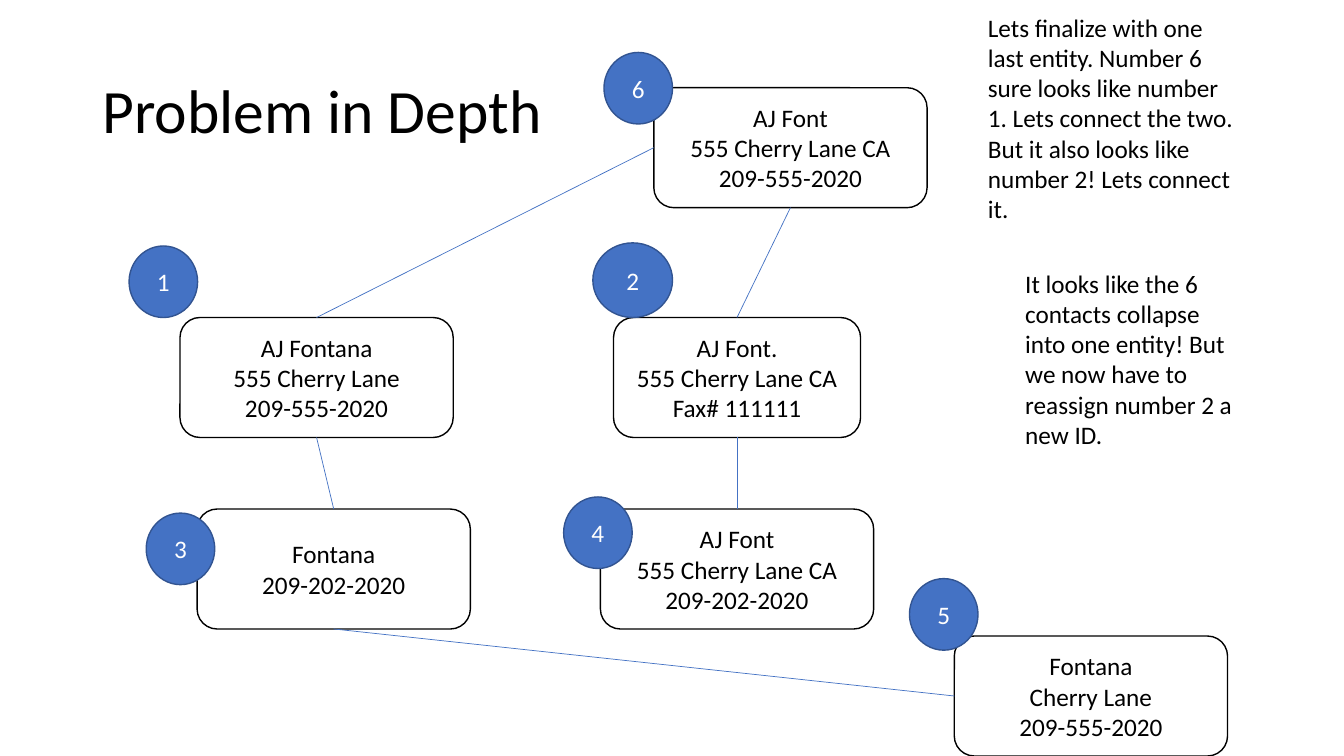
from lxml import etree
from pptx import Presentation
from pptx import util as u
from pptx.dml.color import RGBColor
from pptx.enum import shapes, text
from pptx.oxml.ns import qn

TITLE = "Problem in Depth"
# number: (column, row, lines of the contact)
CONTACTS = {
    1: ("left", "middle", ["AJ Fontana", "555 Cherry Lane", "209-555-2020"]),
    2: ("centre", "middle", ["AJ Font.", "555 Cherry Lane CA", "Fax# 111111"]),
    3: ("left indented", "lower", ["Fontana", "209-202-2020"]),
    4: ("centre", "lower", ["AJ Font", "555 Cherry Lane CA", "209-202-2020"]),
    5: ("right", "bottom", ["Fontana", "Cherry Lane", "209-555-2020"]),
    6: ("centre right", "top", ["AJ Font", "555 Cherry Lane CA", "209-555-2020"]),
}
TOP, LEFT, BOTTOM = 0, 1, 2
# (from contact, side, to contact, side)
LINKS = [(3, BOTTOM, 5, LEFT), (1, BOTTOM, 3, TOP), (2, BOTTOM, 4, TOP),
         (6, LEFT, 1, TOP), (6, BOTTOM, 2, TOP)]
# (text, left, top, width, height)
NOTES = [
    ("Lets finalize with one last entity. Number 6 sure looks like number 1. "
     "Lets connect the two. But it also looks like number 2! Lets connect it.",
     9.7, 0.07, 2.63, 2.22),
    ("It looks like the 6 contacts collapse into one entity! But we now have to "
     "reassign number 2 a new ID.", 10.07, 2.61, 2.35, 1.92),
]

# Layout in inches: column centres, row tops, shared sizes
COLUMNS = {"left": 3.14, "left indented": 3.31, "centre": 7.31,
           "centre right": 7.84, "right": 10.82}
ROWS = {"top": 0.87, "middle": 3.15, "lower": 5.05, "bottom": 6.31}
CARD_WIDTH, CARD_HEIGHT = 2.71, 1.19
NARROW_CARDS = {2: 2.45}
BADGE_SIZE = (0.68, 0.71)
WIDE_BADGES = {2: (0.79, 0.74)}
BADGES = {1: (1.28, 2.44), 2: (5.88, 2.41), 3: (1.45, 5.09),
          4: (5.59, 4.93), 5: (9.02, 5.74), 6: (5.99, 0.52)}
COLOURS = {"ink": "000000", "paper": "FFFFFF", "blue": "4472C4", "edge": "325491"}
FONT = "Calibri"


def colour(name):
    return RGBColor.from_string(COLOURS[name])


def write(shape, lines, ink="ink", size=18, align=text.PP_ALIGN.CENTER,
          anchor=text.MSO_ANCHOR.MIDDLE, spacing=None):
    frame = shape.text_frame
    frame.word_wrap = True
    frame.vertical_anchor = anchor
    frame.text = "\n".join(lines)
    for paragraph in frame.paragraphs:
        paragraph.alignment = align
        paragraph.line_spacing = spacing
        paragraph.font.name = FONT
        paragraph.font.size = u.Pt(size)
        paragraph.font.color.rgb = colour(ink)


def add_box(kind, box, lines, fill, line, ink):
    shape = slide.shapes.add_shape(kind, *map(u.Inches, box))
    shape.shadow.inherit = False
    shape.fill.solid()
    shape.fill.fore_color.rgb = colour(fill)
    shape.line.color.rgb = colour(line)
    shape.line.width = u.Pt(1)
    write(shape, lines, ink)
    return shape


def add_text(box, words, **style):
    shape = slide.shapes.add_textbox(*map(u.Inches, box))
    write(shape, [words], align=text.PP_ALIGN.LEFT, **style)


presentation = Presentation()
presentation.slide_width, presentation.slide_height = u.Inches(13.33), u.Inches(7.5)
slide = presentation.slides.add_slide(presentation.slide_layouts[6])

# Title and side notes
add_text((0.92, 0.4, 11.5, 1.45), TITLE, size=44, spacing=0.9)
for words, *box in NOTES:
    add_text(box, words, anchor=text.MSO_ANCHOR.TOP)

# Contact cards with their numbers
cards = {}
for number, (column, row, lines) in CONTACTS.items():
    width = NARROW_CARDS.get(number, CARD_WIDTH)
    card_box = (COLUMNS[column] - width / 2, ROWS[row], width, CARD_HEIGHT)
    cards[number] = add_box(shapes.MSO_SHAPE.ROUNDED_RECTANGLE, card_box, lines,
                            "paper", "ink", "ink")
    badge_box = BADGES[number] + WIDE_BADGES.get(number, BADGE_SIZE)
    add_box(shapes.MSO_SHAPE.OVAL, badge_box, [str(number)], "blue", "edge", "paper")

# Links between matching contacts
for start, start_side, end, end_side in LINKS:
    link = slide.shapes.add_connector(shapes.MSO_CONNECTOR.STRAIGHT, 0, 0, 0, 0)
    link.begin_connect(cards[start], start_side)
    link.end_connect(cards[end], end_side)
    link.line.color.rgb = colour("blue")
    link.line.width = u.Pt(0.5)
    etree.SubElement(link._element.spPr, qn("a:effectLst"))

presentation.save("out.pptx")
